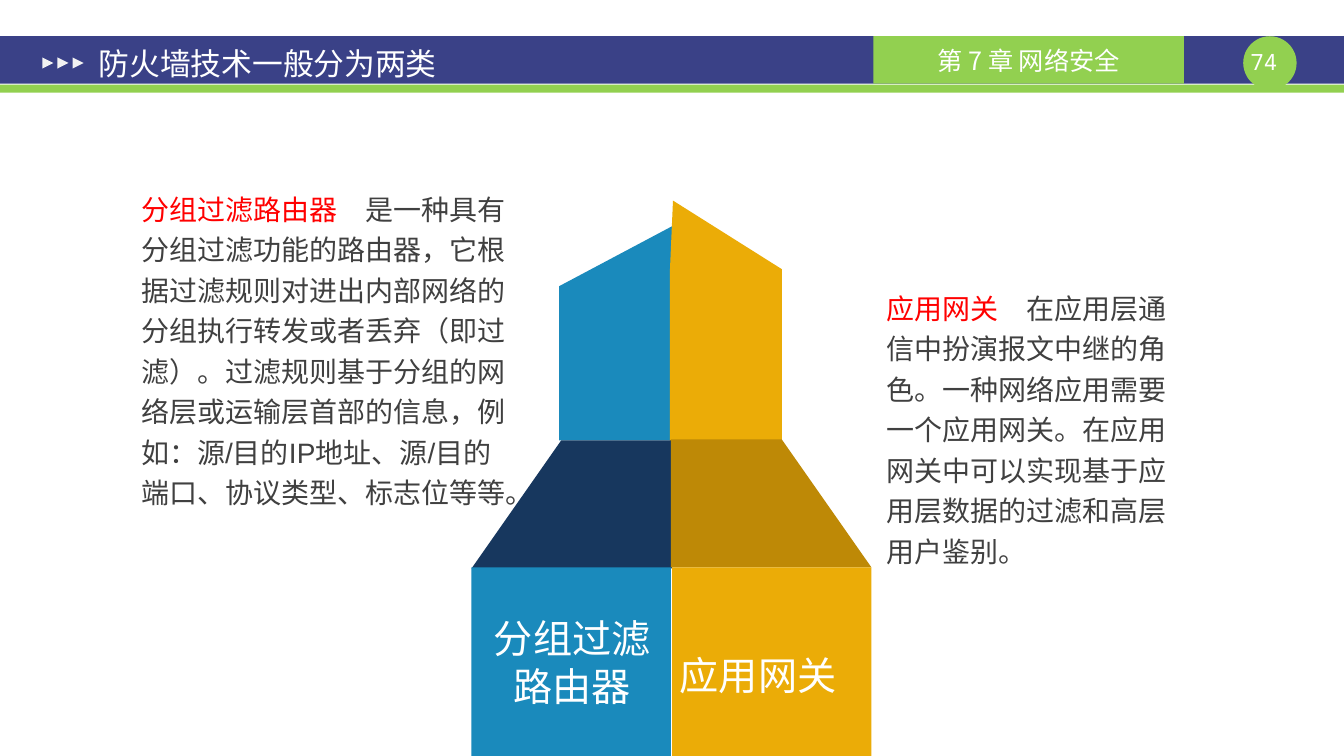
from dataclasses import dataclass

from pptx import Presentation
from pptx.dml.color import RGBColor
from pptx.enum.shapes import MSO_SHAPE
from pptx.enum.text import MSO_ANCHOR, PP_ALIGN
from pptx.oxml.ns import qn
from pptx.util import Inches, Pt


@dataclass(frozen=True)
class Theme:
    navy: str = "3A4187"
    green: str = "92D050"
    white: str = "FFFFFF"
    marker: str = "F2F2F2"
    term: str = "FF0000"
    body: str = "404040"
    blue: str = "1A8ABC"
    dark_blue: str = "17375E"
    gold: str = "EBAC07"
    dark_gold: str = "BE8906"
    latin: str = "Arial"
    chinese: str = "Noto Sans CJK SC"
    mono: str = "Noto Sans Mono"
    number_size: float = 16
    chapter_size: float = 18
    body_size: float = 20
    title_size: float = 22
    label_size: float = 28
    body_leading: float = 28.9
    label_leading: float = 34.5


def add_run(paragraph, text, *, size, color, font):
    run = paragraph.add_run()
    run.text = text
    run.font.size = Pt(size)
    run.font.name = font
    run.font.color.rgb = RGBColor.from_string(color)
    # Chinese glyphs take the East Asian typeface
    east_asian = run.font._element.makeelement(
        qn("a:ea"), {"typeface": Theme.chinese})
    run.font._element.find(qn("a:latin")).addnext(east_asian)


class SlideBuilder:
    def __init__(self, slide, theme):
        self.slide = slide
        self.theme = theme

    def paint(self, shape, color):
        shape.shadow.inherit = False
        shape.fill.solid()
        shape.fill.fore_color.rgb = RGBColor.from_string(color)
        shape.line.fill.background()
        return shape

    def block(self, box, color, kind=MSO_SHAPE.RECTANGLE, rotation=0):
        shape = self.slide.shapes.add_shape(kind, *map(Inches, box))
        shape.rotation = rotation
        return self.paint(shape, color)

    def panel(self, points, color):
        start, *rest = [(Inches(x), Inches(y)) for x, y in points]
        outline = self.slide.shapes.build_freeform(*start, scale=1.0)
        outline.add_line_segments(rest, close=True)
        return self.paint(outline.convert_to_shape(), color)

    def text(self, box, runs, *, size, font, insets=(0.1, 0.05),
             align=PP_ALIGN.LEFT, anchor=MSO_ANCHOR.TOP, leading=None):
        frame = self.slide.shapes.add_textbox(*map(Inches, box)).text_frame
        frame.word_wrap = True
        frame.vertical_anchor = anchor
        frame.margin_left = frame.margin_right = Inches(insets[0])
        frame.margin_top = frame.margin_bottom = Inches(insets[1])
        paragraph = frame.paragraphs[0]
        paragraph.alignment = align
        if leading:
            paragraph.line_spacing = Pt(leading)
        for words, color in runs:
            add_run(paragraph, words, size=size, color=color, font=font)

    def explanation(self, box, term, meaning):
        theme = self.theme
        self.text(box, [(term + "　", theme.term), (meaning, theme.body)],
                  size=theme.body_size, font=theme.latin,
                  insets=(0.13, 0.07), leading=theme.body_leading)

    def label(self, box, words):
        theme = self.theme
        self.text(box, [(words, theme.white)], size=theme.label_size,
                  font=theme.chinese, align=PP_ALIGN.CENTER,
                  leading=theme.label_leading)


def main():
    theme = Theme()
    presentation = Presentation()
    presentation.slide_width = Inches(13.34)
    presentation.slide_height = Inches(7.5)
    slide = presentation.slides.add_slide(presentation.slide_layouts[6])
    builder = SlideBuilder(slide, theme)

    # Header band, page number and chapter
    builder.block((0, 0.36, 13.34, 0.47), theme.navy)
    builder.block((0, 0.84, 13.34, 0.08), theme.green)
    builder.block((12.34, 0.36, 0.53, 0.53), theme.green, MSO_SHAPE.OVAL)
    builder.text((12.28, 0.48, 0.53, 0.27), [("74", theme.white)],
                 size=theme.number_size, font=theme.mono, insets=(0, 0),
                 align=PP_ALIGN.CENTER)
    chapter = builder.block((8.67, 0.36, 3.08, 0.47), theme.green).text_frame
    chapter.vertical_anchor = MSO_ANCHOR.MIDDLE
    chapter.paragraphs[0].alignment = PP_ALIGN.CENTER
    add_run(chapter.paragraphs[0], "第 7 章 网络安全",
            size=theme.chapter_size, color=theme.white, font=theme.chinese)

    # Title with its three markers
    for index in range(3):
        builder.block((0.42 + 0.15 * index, 0.57, 0.11, 0.11), theme.marker,
                      MSO_SHAPE.ISOSCELES_TRIANGLE, rotation=90)
    builder.text((0.85, 0.39, 5.83, 0.47),
                 [("防火墙技术一般分为两类", theme.white)],
                 size=theme.title_size, font=theme.latin,
                 insets=(0.13, 0.07), anchor=MSO_ANCHOR.MIDDLE)

    # Explanations on both sides
    builder.explanation(
        (1.27, 1.77, 3.94, 3.4), "分组过滤路由器",
        "是一种具有分组过滤功能的路由器，它根据过滤规则对进出内部网络的"
        "分组执行转发或者丢弃（即过滤）。过滤规则基于分组的网络层或运输层"
        "首部的信息，例如：源/目的IP地址、源/目的端口、协议类型、标志位等等。")
    builder.explanation(
        (8.67, 2.75, 3.23, 2.98), "应用网关",
        "在应用层通信中扮演报文中继的角色。一种网络应用需要一个应用网关。"
        "在应用网关中可以实现基于应用层数据的过滤和高层用户鉴别。")

    # Folded tower: upright panels, then sloping panels
    builder.panel([(6.66, 2.84), (6.66, 4.37), (5.55, 4.37),
                   (5.55, 2.84), (6.68, 2.24)], theme.blue)
    builder.panel([(6.65, 2.67), (6.65, 4.38), (7.76, 4.38),
                   (7.76, 2.67), (6.68, 1.99)], theme.gold)
    builder.panel([(4.68, 5.64), (5.57, 4.37), (6.67, 4.37),
                   (6.67, 5.64)], theme.dark_blue)
    builder.panel([(8.65, 5.63), (7.76, 4.36), (6.66, 4.36),
                   (6.66, 5.63)], theme.dark_gold)

    # Tower base and labels
    builder.block((4.68, 5.63, 1.98, 1.87), theme.blue)
    builder.block((6.67, 5.63, 1.98, 1.87), theme.gold)
    builder.label((4.68, 6.03, 2, 1.04), "分组过滤路由器")
    builder.label((6.51, 6.4, 2.03, 0.57), "应用网关")

    presentation.save("out.pptx")


if __name__ == "__main__":
    main()
